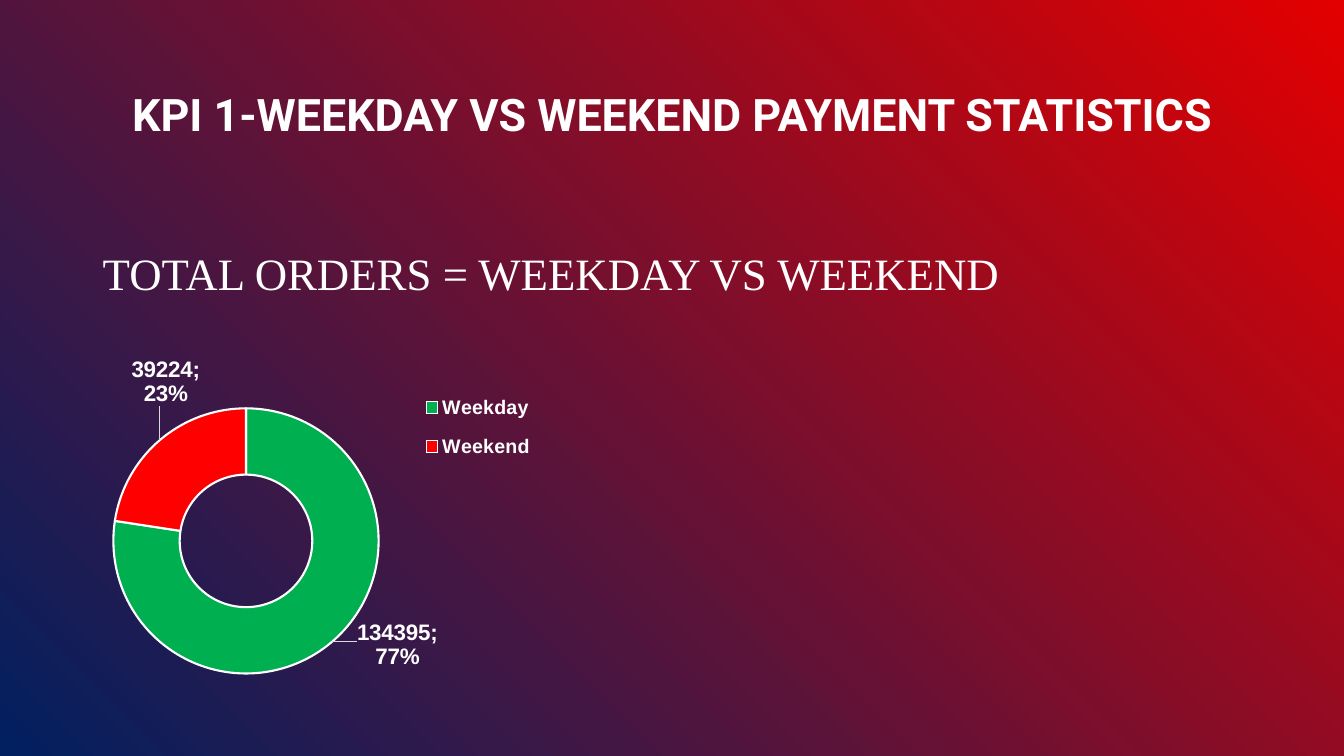
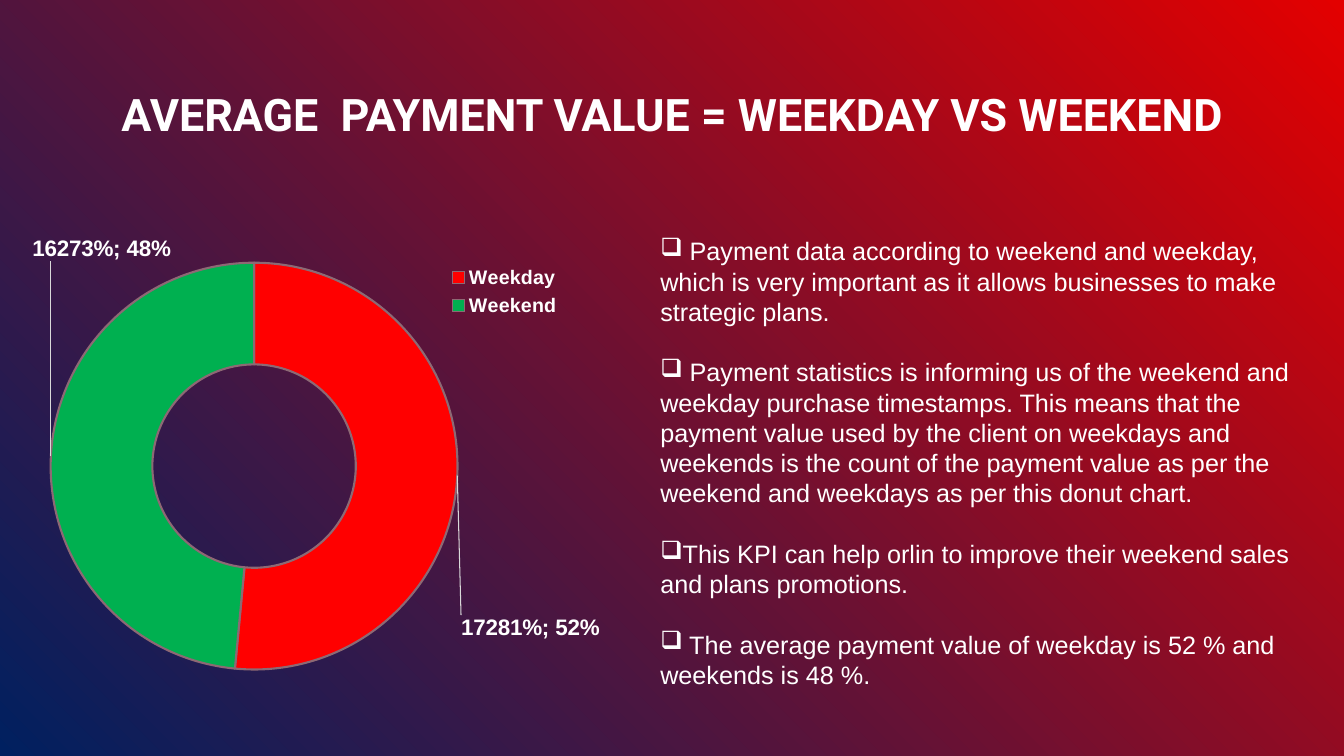
from pptx import Presentation
from pptx.chart.data import CategoryChartData as Data
from pptx.dml.color import RGBColor as Rgb
from pptx.enum.chart import XL_CHART_TYPE as Kind, XL_LEGEND_POSITION as Side
from pptx.enum.text import MSO_ANCHOR as Anchor, PP_ALIGN as Align
from pptx.oxml import parse_xml as to_xml
from pptx.oxml.ns import nsdecls, qn
from pptx.util import Inches, Pt

# Shared look
WHITE, RED, NAVY, GREEN = "FFFFFF", "E30000", "002060", "00B050"
PURE, MAUVE, GREY, BLACK = "FF0000", "8D6974", "D9D9D9", "000000"
TITLE = {"name": "Roboto", "size": Pt(32), "bold": True}
SUB = {"name": "Times New Roman", "size": Pt(32)}
BODY = {"name": "Arial", "size": Pt(18)}
KEY = {"name": "Arial", "size": Pt(14), "bold": True}
LINE = Pt(21.6)

NOTES = [
    " Payment data according to weekend and weekday, which is very important as it "
    "allows businesses to make strategic plans.",
    " Payment statistics is informing us of the weekend and weekday purchase "
    "timestamps. This means that the payment value used by the client on weekdays and "
    "weekends is the count of the payment value as per the weekend and weekdays as per "
    "this donut chart.",
    "This KPI can help orlin to improve their weekend sales and plans promotions.",
    " The average payment value of weekday is 52 % and weekends is 48 %.",
]


def color(text):
    return Rgb.from_string(text)


def style(font, look, ink=WHITE):
    for name, value in look.items():
        setattr(font, name, value)
    font.color.rgb = color(ink)


def backdrop(master):
    """Radial gradient from the top right corner, shared by all slides."""
    fill = master.background.fill
    fill.gradient()
    for stop, ink, pos in zip(fill.gradient_stops, (RED, NAVY), (0, 1)):
        stop.color.rgb = color(ink)
        stop.position = pos
    grad = master.element.find(".//" + qn("a:gradFill"))
    grad.replace(grad.find(qn("a:lin")), to_xml(
        f'<a:path {nsdecls("a")} path="circle">'
        '<a:fillToRect l="100000" b="100000"/></a:path>'))


def text(slide, box, lines, look, anchor=Anchor.TOP, align=Align.LEFT):
    frame = slide.shapes.add_textbox(*map(Inches, box)).text_frame
    frame.word_wrap = True
    frame.vertical_anchor = anchor
    for i, line in enumerate(lines):
        para = frame.add_paragraph() if i else frame.paragraphs[0]
        para.alignment = align
        run = para.add_run()
        run.text = line
        style(run.font, look)
    return frame


def title(slide, words):
    text(slide, (0.92, 0.4, 11.5, 1.45), [words], TITLE, Anchor.MIDDLE, Align.CENTER)


def notes(slide, box):
    """Bulleted findings, one blank line apart."""
    frame = text(slide, box, NOTES, BODY)
    for para in frame.paragraphs:
        para.line_spacing = para.space_after = LINE
        props = para._p.get_or_add_pPr()
        props.set("marL", "0")
        props.set("indent", "0")
        props.append(to_xml(f'<a:buChar {nsdecls("a")} char="❑"/>'))


def layout(spot, inner=False):
    """Manual layout from fractions of the chart: x, y and maybe w, h."""
    parts = '<c:layoutTarget val="inner"/>' if inner else ""
    if len(spot) == 4:
        parts += '<c:xMode val="edge"/><c:yMode val="edge"/>'
    parts += "".join(f'<c:{k} val="{v}"/>' for k, v in zip("xywh", spot))
    return (f'<c:layout {nsdecls("c")}><c:manualLayout>{parts}'
            '</c:manualLayout></c:layout>')


def labels(series, shifts, code):
    """Value and percent labels, moved off the ring, with leader lines."""
    flags = {"LegendKey": 0, "Val": 1, "CatName": 0, "SerName": 0,
             "Percent": 1, "BubbleSize": 0}
    form = (f'<c:numFmt formatCode="{code}" sourceLinked="0"/>'
            '<c:spPr><a:noFill/><a:ln><a:noFill/></a:ln></c:spPr>'
            '<c:txPr><a:bodyPr/><a:p><a:pPr><a:defRPr sz="1600" b="1">'
            f'<a:solidFill><a:srgbClr val="{WHITE}"/></a:solidFill>'
            '<a:latin typeface="Arial"/></a:defRPr></a:pPr>'
            '<a:endParaRPr lang="en-US"/></a:p></c:txPr>')
    form += "".join(f'<c:show{k} val="{v}"/>' for k, v in flags.items())
    form += "<c:separator>; </c:separator>"
    points = "".join(f'<c:dLbl><c:idx val="{i}"/>{layout(shift)}{form}</c:dLbl>'
                     for i, shift in enumerate(shifts))
    series._element.find(qn("c:cat")).addprevious(to_xml(
        f'<c:dLbls {nsdecls("c", "a")}>{points}{form}<c:showLeaderLines val="1"/>'
        '<c:leaderLines><c:spPr><a:ln w="9525"><a:solidFill>'
        f'<a:srgbClr val="{GREY}"/></a:solidFill></a:ln></c:spPr></c:leaderLines>'
        '</c:dLbls>'))


def donut(slide, box, values, inks, edge, hole, plot, key, shifts,
          code="General", ink=WHITE, bold=True):
    data = Data(number_format=code)
    data.categories = ["Weekday", "Weekend"]
    data.add_series("Series 1", values)
    chart = slide.shapes.add_chart(Kind.DOUGHNUT, *map(Inches, box), data).chart
    style(chart.font, {"name": "Arial", "size": Pt(10), "bold": bold}, ink)
    chart.has_title = False

    # Ring
    ring = chart.plots[0]
    ring.vary_by_categories = True
    ring._element.find(qn("c:holeSize")).set("val", str(hole))
    series = ring.series[0]
    for i, tone in enumerate(inks):
        form = series.points[i].format
        form.fill.solid()
        form.fill.fore_color.rgb = color(tone)
        form.line.color.rgb = color(edge)
        form.line.width = Pt(1.5)
    labels(series, shifts, code)
    area = chart._chartSpace.find(".//" + qn("c:plotArea"))
    for old in area.findall(qn("c:layout")):
        area.remove(old)
    area.insert(0, to_xml(layout(plot, True)))

    # Legend
    chart.has_legend = True
    legend = chart.legend
    legend.position = Side.RIGHT
    legend.include_in_layout = False
    style(legend.font, KEY)
    node = legend._element
    for old in node.findall(qn("c:layout")):
        node.remove(old)
    node.find(qn("c:legendPos")).addnext(to_xml(layout(key)))


def orders(slide):
    title(slide, "KPI 1-WEEKDAY VS WEEKEND PAYMENT STATISTICS")
    text(slide, (0.92, 2.12, 9.99, 0.9), ["TOTAL ORDERS = WEEKDAY VS WEEKEND"],
         SUB, Anchor.BOTTOM)
    donut(slide, (0.77, 3.13, 5.06, 3.96), (134395, 39224), (GREEN, PURE), WHITE, 75,
          plot=(0.07, 0.23, 0.52, 0.67), key=(0.67, 0.16, 0.23, 0.24),
          shifts=((0.17, 0.07), (-0.03, -0.21)), ink=BLACK, bold=False)


def average(slide):
    title(slide, "AVERAGE  PAYMENT VALUE = WEEKDAY VS WEEKEND")
    donut(slide, (0.21, 2.08, 5.85, 5.09), (172.81, 162.73), (PURE, GREEN), MAUVE, 50,
          plot=(0.05, 0.1, 0.69, 0.8), key=(0.72, 0.1, 0.2, 0.12),
          shifts=((0.21, 0.3), (0, -0.41)), code="0%")
    notes(slide, (6.45, 2.29, 6.61, 4.6))


def main():
    deck = Presentation()
    deck.slide_width, deck.slide_height = Inches(13.33), Inches(7.5)
    backdrop(deck.slide_master)
    for build in (orders, average):
        build(deck.slides.add_slide(deck.slide_layouts[6]))
    deck.save("out.pptx")


if __name__ == "__main__":
    main()
